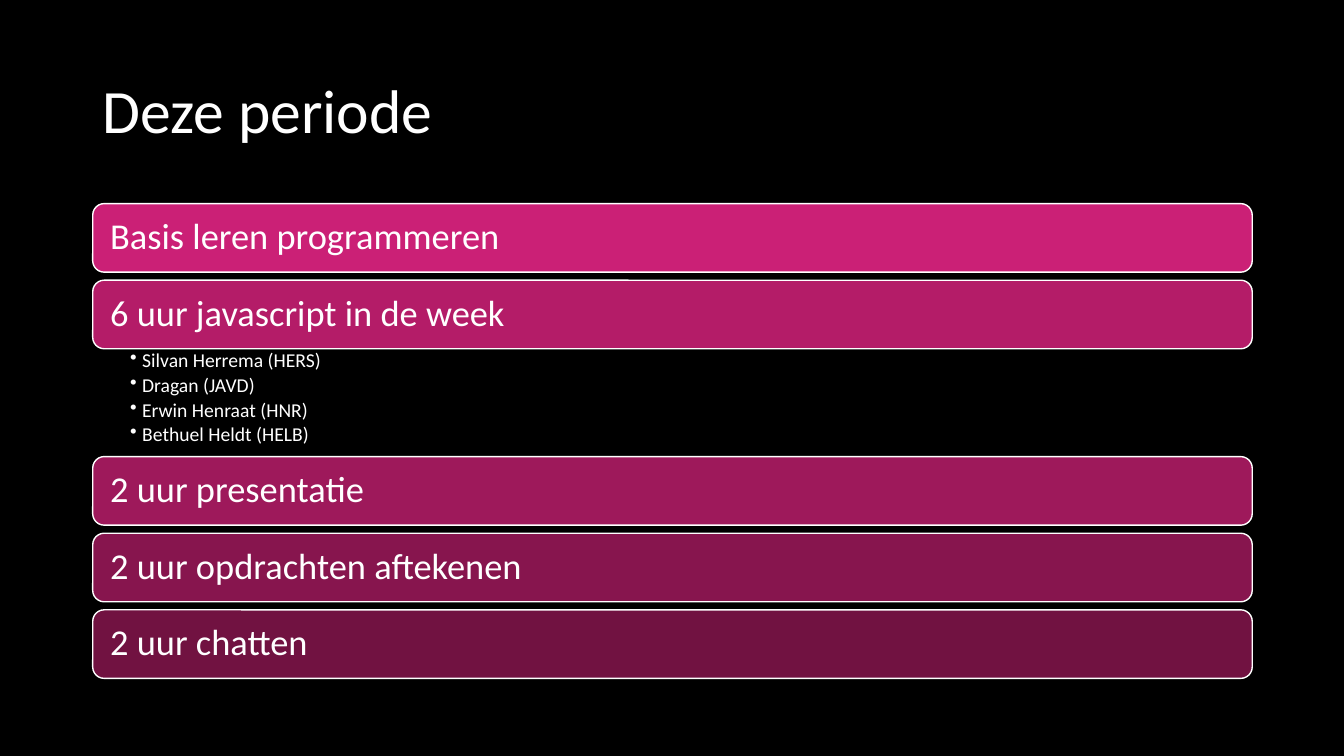
from lxml import etree
from pptx import Presentation
from pptx.dml.color import RGBColor
from pptx.enum.shapes import MSO_SHAPE
from pptx.enum.text import MSO_ANCHOR, PP_ALIGN
from pptx.oxml.ns import qn
from pptx.util import Inches, Pt

ROUNDED = MSO_SHAPE.ROUNDED_RECTANGLE
MIDDLE = MSO_ANCHOR.MIDDLE
TOP = MSO_ANCHOR.TOP
LEFT_ALIGN = PP_ALIGN.LEFT

BLACK = RGBColor(0x00, 0x00, 0x00)
WHITE = RGBColor(0xFF, 0xFF, 0xFF)
PINK = RGBColor(0xE2, 0x24, 0x83)

LEFT, WIDTH = 0.92, 11.5
FIRST_TOP = 2.02
BAR_HEIGHT, BAR_GAP = 0.68, 0.08
TEACHERS_HEIGHT = 1.07

TOPICS = [
    ("Basis leren programmeren", []),
    ("6 uur javascript in de week", [
        "Silvan Herrema (HERS)",
        "Dragan (JAVD)",
        "Erwin Henraat (HNR)",
        "Bethuel Heldt (HELB)",
    ]),
    ("2 uur presentatie", []),
    ("2 uur opdrachten aftekenen", []),
    ("2 uur chatten", []),
]


class PeriodSlide:
    font = "Calibri"

    def __init__(self, presentation):
        self.slide = presentation.slides.add_slide(presentation.slide_layouts[5])
        background = self.slide.background.fill
        background.solid()
        background.fore_color.rgb = BLACK

    def frame(self, shape, anchor, side, vertical):
        """Set wrapping, anchor and insets, and return the text frame."""
        frame = shape.text_frame
        frame.word_wrap = True
        frame.vertical_anchor = anchor
        frame.margin_left = frame.margin_right = Inches(side)
        frame.margin_top = frame.margin_bottom = Inches(vertical)
        return frame

    def add_text(self, paragraph, text, size):
        paragraph.alignment = LEFT_ALIGN
        paragraph.line_spacing = 0.9
        run = paragraph.add_run()
        run.text = text
        run.font.name = self.font
        run.font.size = Pt(size)
        run.font.color.rgb = WHITE

    def title(self, text):
        title = self.slide.shapes.title
        title.left, title.top = Inches(LEFT), Inches(0.4)
        title.width, title.height = Inches(WIDTH), Inches(1.45)
        frame = self.frame(title, MIDDLE, 0.1, 0.05)
        self.add_text(frame.paragraphs[0], text, 44)

    def bar(self, text, top, opacity):
        """Add a rounded bar whose fill has the given opacity in percent."""
        bar = self.slide.shapes.add_shape(
            ROUNDED, Inches(LEFT), Inches(top), Inches(WIDTH), Inches(BAR_HEIGHT))
        bar.shadow.inherit = False
        bar.fill.solid()
        bar.fill.fore_color.rgb = PINK
        color = bar.element.spPr.find(qn("a:solidFill")).find(qn("a:srgbClr"))
        etree.SubElement(color, qn("a:alpha")).set("val", str(opacity * 1000))
        bar.line.color.rgb = WHITE
        bar.line.width = Pt(1)
        frame = self.frame(bar, MIDDLE, 0.14, 0.05)
        self.add_text(frame.paragraphs[0], text, 26)

    def bullets(self, items, top):
        box = self.slide.shapes.add_textbox(
            Inches(LEFT), Inches(top), Inches(WIDTH), Inches(TEACHERS_HEIGHT))
        frame = self.frame(box, TOP, 0.11, 0.02)
        frame.margin_left = Inches(0.37)
        for index, item in enumerate(items):
            paragraph = frame.add_paragraph() if index else frame.paragraphs[0]
            paragraph.level = 1
            paragraph.space_after = Pt(2.5)
            properties = paragraph._p.get_or_add_pPr()
            properties.set("marL", str(Inches(0.12)))
            properties.set("indent", str(-Inches(0.12)))
            etree.SubElement(properties, qn("a:buChar")).set("char", "•")
            self.add_text(paragraph, item, 14)


def main():
    presentation = Presentation()
    presentation.slide_width = Inches(13.33)
    presentation.slide_height = Inches(7.5)

    period = PeriodSlide(presentation)
    period.title("Deze periode")
    top = FIRST_TOP
    for index, (topic, teachers) in enumerate(TOPICS):
        period.bar(topic, top, 90 - 10 * index)
        top += BAR_HEIGHT
        if teachers:
            period.bullets(teachers, top)
            top += TEACHERS_HEIGHT
        else:
            top += BAR_GAP

    presentation.save("out.pptx")


if __name__ == "__main__":
    main()
